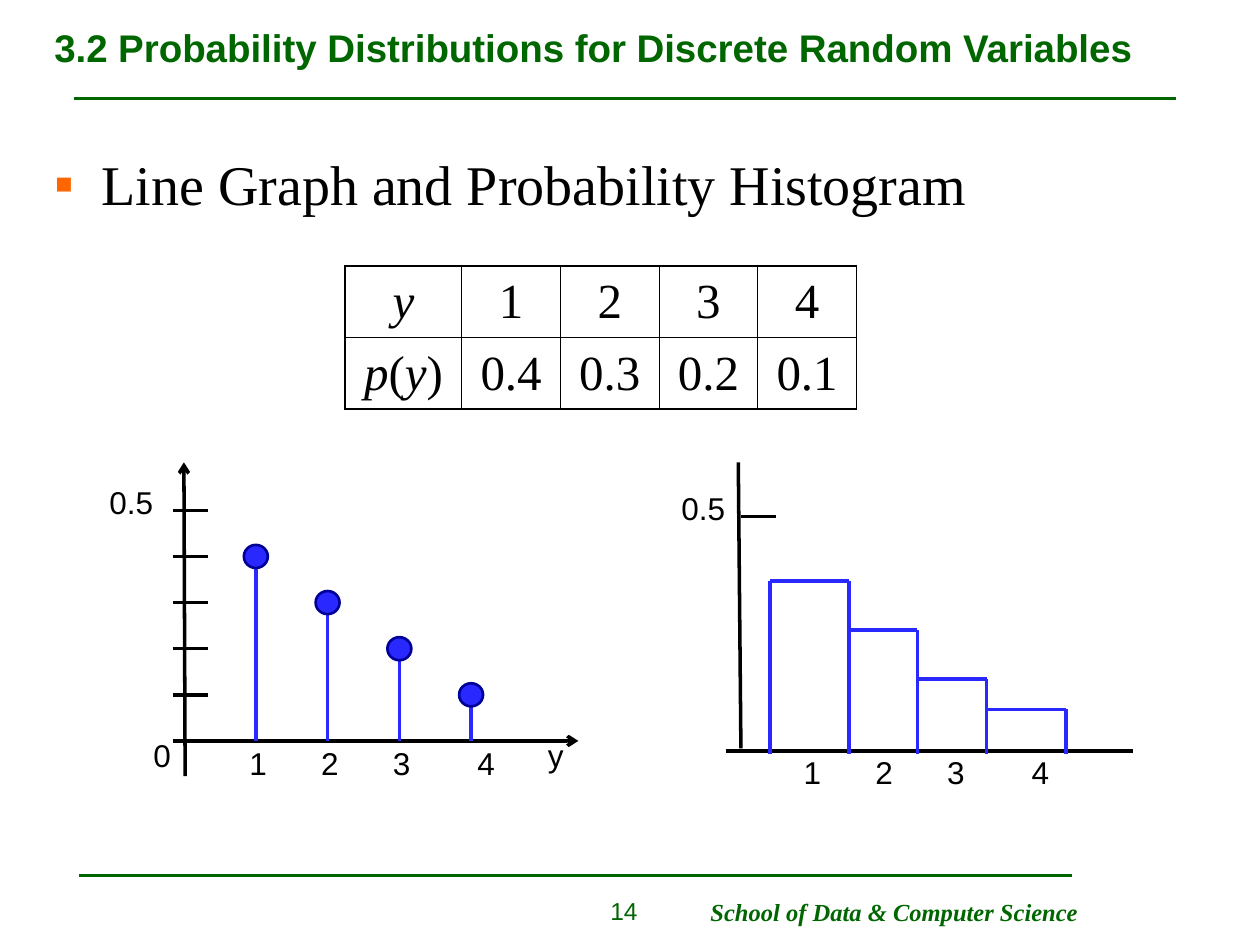
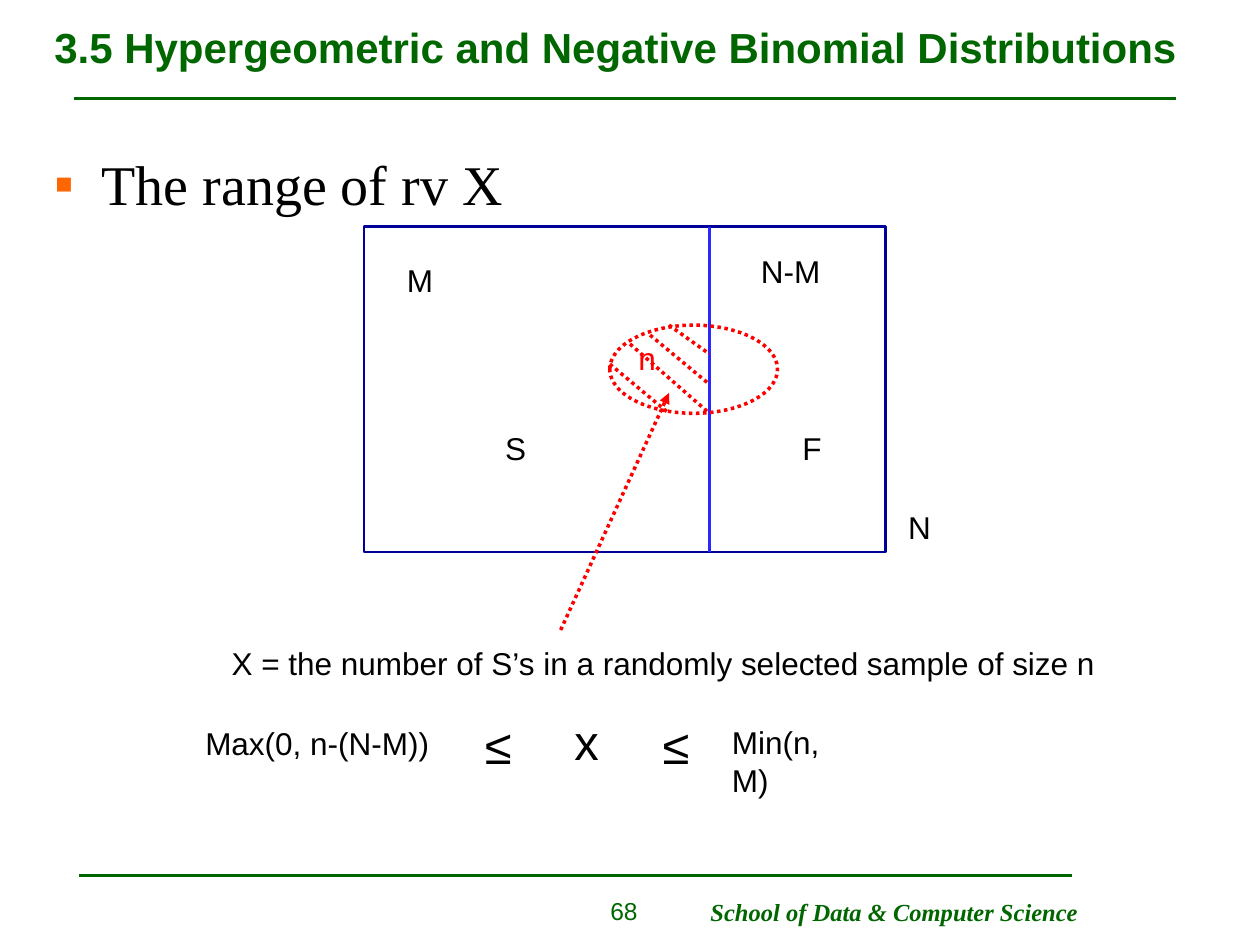
from dataclasses import dataclass
from typing import Optional, Union

import pptx
import pptx.dml.color
import pptx.enum.dml
import pptx.enum.shapes
import pptx.enum.text
import pptx.oxml.ns
import pptx.shapes.autoshape
import pptx.shapes.shapetree
import pptx.slide
import pptx.table
import pptx.text.text
import pptx.util
from lxml import etree

Pt = pptx.util.Pt
qn = pptx.oxml.ns.qn
Align = pptx.enum.text.PP_ALIGN
Preset = pptx.enum.shapes.MSO_SHAPE
Canvas = Union[pptx.shapes.shapetree.SlideShapes, pptx.shapes.shapetree.GroupShapes]

GREEN, ORANGE, BLACK, RED = "006600", "FF6600", "000000", "FF0000"
BLUE, NAVY = "2929FF", "000099"
SANS, SERIF = "Arial", "Times New Roman"
LABEL_HEIGHT = 28.8
DIGIT_WIDTH = 24.5
DIGIT_OFFSETS = (0, 41, 82, 130.3)


@dataclass
class Stroke:
    start: tuple[float, float]
    end: tuple[float, float]
    colour: str = BLACK
    width: float = 2
    dotted: bool = False
    arrow: Optional[str] = None


@dataclass
class Label:
    text: str
    left: float
    top: float
    width: float
    height: float = LABEL_HEIGHT
    size: float = 18
    colour: str = BLACK
    font: str = SANS
    bold: bool = False
    italic: bool = False
    wrap: bool = False
    align: Align = Align.LEFT


@dataclass
class Outline:
    preset: Preset
    left: float
    top: float
    width: float
    height: float
    colour: str
    line_width: float = 1.5
    fill: Optional[str] = None
    dotted: bool = False


def rgb(colour: str) -> pptx.dml.color.RGBColor:
    return pptx.dml.color.RGBColor.from_string(colour)


def format_runs(paragraph: pptx.text.text._Paragraph, name: str, size: float,
                colour: str, bold: bool = False, italic: bool = False) -> None:
    for run in paragraph.runs:
        run.font.name, run.font.size = name, Pt(size)
        run.font.bold, run.font.italic = bold, italic
        run.font.color.rgb = rgb(colour)


def draw_stroke(shapes: Canvas, stroke: Stroke) -> None:
    points = [Pt(value) for value in (*stroke.start, *stroke.end)]
    connector = shapes.add_connector(pptx.enum.shapes.MSO_CONNECTOR.STRAIGHT, *points)
    connector.line.color.rgb = rgb(stroke.colour)
    connector.line.width = Pt(stroke.width)
    if stroke.dotted:
        connector.line.dash_style = pptx.enum.dml.MSO_LINE.ROUND_DOT
    properties = connector._element.spPr
    if stroke.arrow:
        etree.SubElement(properties.find(qn("a:ln")), qn("a:tailEnd"), type=stroke.arrow)
    etree.SubElement(properties, qn("a:effectLst"))


def draw_label(shapes: Canvas, label: Label) -> None:
    box = shapes.add_textbox(Pt(label.left), Pt(label.top), Pt(label.width), Pt(label.height))
    frame = box.text_frame
    frame.word_wrap = label.wrap
    frame.text = label.text
    paragraph = frame.paragraphs[0]
    paragraph.alignment = label.align
    format_runs(paragraph, label.font, label.size, label.colour, label.bold, label.italic)


def draw_outline(shapes: Canvas, outline: Outline) -> None:
    shape = shapes.add_shape(outline.preset, Pt(outline.left), Pt(outline.top),
                             Pt(outline.width), Pt(outline.height))
    shape.shadow.inherit = False
    if outline.fill:
        shape.fill.solid()
        shape.fill.fore_color.rgb = rgb(outline.fill)
    else:
        shape.fill.background()
    shape.line.color.rgb = rgb(outline.colour)
    shape.line.width = Pt(outline.line_width)
    if outline.dotted:
        shape.line.dash_style = pptx.enum.dml.MSO_LINE.ROUND_DOT


def place(shape: pptx.shapes.autoshape.Shape, left: float, top: float,
          width: float, height: float) -> None:
    shape.left, shape.top = Pt(left), Pt(top)
    shape.width, shape.height = Pt(width), Pt(height)


def add_lecture_slide(presentation: pptx.presentation.Presentation, title: str,
                      title_size: float, topic: str, number: str) -> pptx.slide.Slide:
    """Add a slide with its title, topic bullet, green rules and footer."""
    slide = presentation.slides.add_slide(presentation.slide_layouts[1])
    draw_stroke(slide.shapes, Stroke((42.5, 56.2), (671.8, 56.2), GREEN, 1.5))
    draw_stroke(slide.shapes, Stroke((45.4, 500.4), (612.7, 500.4), GREEN, 1.5))
    draw_label(slide.shapes, Label("School of Data & Computer Science", 398.9, 509, 224.6, 24.5,
                                   14, GREEN, SERIF, bold=True, italic=True))
    draw_label(slide.shapes, Label(number, 298, 508.3, 73.4, 26, 14, GREEN,
                                   wrap=True, align=Align.RIGHT))

    heading, body = slide.shapes.title, slide.placeholders[1]
    place(heading, 23.8, 2.2, 672.5, 49)
    place(body, 23.8, 78.5, 672.5, 416.2)
    for shape, text in ((heading, title), (body, topic)):
        shape.text_frame.auto_size = pptx.enum.text.MSO_AUTO_SIZE.NONE
        shape.text_frame.text = text
        shape.text_frame.paragraphs[0].alignment = Align.LEFT
        shape.text_frame.paragraphs[0].space_before = Pt(0)
    heading.text_frame.vertical_anchor = pptx.enum.text.MSO_ANCHOR.MIDDLE
    format_runs(heading.text_frame.paragraphs[0], SANS, title_size, GREEN, bold=True)

    body.text_frame.margin_top = Pt(7)
    paragraph = body.text_frame.paragraphs[0]
    properties = paragraph._p.get_or_add_pPr()
    properties.set("marL", str(Pt(27)))
    properties.set("indent", str(-Pt(27)))
    bullet_colour = etree.SubElement(properties, qn("a:buClr"))
    etree.SubElement(bullet_colour, qn("a:srgbClr"), val=ORANGE)
    etree.SubElement(properties, qn("a:buFont"), typeface=SERIF)
    etree.SubElement(properties, qn("a:buChar"), char="▪")
    format_runs(paragraph, SERIF, 32, BLACK)
    return slide


def set_borders(cell: pptx.table._Cell, widths: dict[str, float]) -> None:
    """Border a cell; widths go by side in the order L, R, T, B."""
    properties = cell._tc.get_or_add_tcPr()
    for index, (side, width) in enumerate(widths.items()):
        line = etree.Element(qn(f"a:ln{side}"), w=str(Pt(width)))
        fill = etree.SubElement(line, qn("a:solidFill"))
        etree.SubElement(fill, qn("a:srgbClr"), val=BLACK)
        properties.insert(index, line)


def draw_distribution_table(slide: pptx.slide.Slide) -> None:
    rows = (("y", "1", "2", "3", "4"), ("p(y)", "0.4", "0.3", "0.2", "0.1"))
    column_widths = (66.6, 56.4, 56.4, 56.4, 56.4)
    last_row, last_column = len(rows) - 1, len(column_widths) - 1
    outer, inner = 1.08, 0.45
    table = slide.shapes.add_table(len(rows), len(column_widths), Pt(197.3), Pt(151.9),
                                   Pt(sum(column_widths)), Pt(82)).table
    table.first_row = table.horz_banding = False
    for column, width in zip(table.columns, column_widths):
        column.width = Pt(width)
    for row, texts in enumerate(rows):
        for column, text in enumerate(texts):
            cell = table.cell(row, column)
            cell.fill.background()
            cell.vertical_anchor = pptx.enum.text.MSO_ANCHOR.MIDDLE
            paragraph = cell.text_frame.paragraphs[0]
            paragraph.alignment = Align.CENTER
            for piece in (text if text[0].isalpha() else [text]):
                paragraph.add_run().text = piece
            format_runs(paragraph, SERIF, 28, BLACK)
            for run in paragraph.runs:
                run.font.italic = run.text.isalpha()
            set_borders(cell, {"L": outer if column == 0 else inner,
                               "R": outer if column == last_column else inner,
                               "T": outer if row == 0 else inner,
                               "B": outer if row == last_row else inner})


def draw_digits(shapes: Canvas, left: float, top: float) -> None:
    for digit, offset in enumerate(DIGIT_OFFSETS, start=1):
        draw_label(shapes, Label(str(digit), left + offset, top, DIGIT_WIDTH))


def draw_line_graph(shapes: Canvas) -> None:
    axis_y, tick_step = 423.4, 26.35
    first_stem, stem_step = 146.2, 41
    dot_width, dot_height = 13.7, 13.2
    draw_stroke(shapes, Stroke((98.6, axis_y), (330.5, axis_y), arrow="arrow"))
    draw_stroke(shapes, Stroke((105.8, 443.5), (105.1, 264.2), arrow="arrow"))
    for tick in range(1, 6):
        y = axis_y - tick * tick_step
        draw_stroke(shapes, Stroke((98.6, y), (118.8, y)))
    for index, tenths in enumerate((4, 3, 2, 1)):
        x, y = first_stem + index * stem_step, axis_y - tenths * tick_step
        draw_stroke(shapes, Stroke((x, axis_y), (x, y), BLUE))
        draw_outline(shapes, Outline(Preset.OVAL, x - dot_width / 2, y - dot_height / 2,
                                     dot_width, dot_height, NAVY, fill=BLUE))
    draw_label(shapes, Label("0.5", 55.4, 272.2, 39.6))
    draw_label(shapes, Label("0", 80.6, 416.9, DIGIT_WIDTH))
    draw_digits(shapes, 135.4, 421.9)
    draw_label(shapes, Label("y", 306, 416.9, 23))


def draw_histogram(shapes: Canvas) -> None:
    edges = (439.9, 485.3, 524.2, 563.8, 609.1)
    tops = (331.9, 360, 388.1, 405.4)
    foot = 430.6
    draw_stroke(shapes, Stroke((414.7, 429.1), (647.3, 429.1)))
    draw_stroke(shapes, Stroke((423.4, 427.7), (421.9, 264.2)))
    draw_stroke(shapes, Stroke((423.4, 295.2), (443.5, 295.2)))
    draw_stroke(shapes, Stroke((edges[0], foot), (edges[0], tops[0]), BLUE))
    for left, right, top in zip(edges, edges[1:], tops):
        draw_stroke(shapes, Stroke((left, top), (right, top), BLUE))
        draw_stroke(shapes, Stroke((right, foot), (right, top), BLUE))
    draw_label(shapes, Label("0.5", 382.3, 275.8, 39.6))
    draw_digits(shapes, 452.2, 427)


def draw_population(slide: pptx.slide.Slide) -> None:
    """Draw the population N split into S and F, with the sample n across both."""
    shapes = slide.shapes
    divider = 405.4
    draw_outline(shapes, Outline(Preset.RECTANGLE, 208.1, 129.6, 298.1, 185.8, NAVY))
    draw_stroke(shapes, Stroke((divider, 129.6), (divider, 315.4), BLUE))
    for label in (Label("M", 225.4, 145.4, 62, wrap=True),
                  Label("N-M", 427.7, 140.4, 70.6, wrap=True),
                  Label("S", 281.5, 241.9, 26),
                  Label("F", 451.4, 241.9, 25.2),
                  Label("N", 511.9, 286.6, 62, wrap=True)):
        draw_label(shapes, label)

    sample = shapes.add_group_shape().shapes
    draw_outline(sample, Outline(Preset.OVAL, 348.5, 185.8, 95.8, 50.4, RED, 2, dotted=True))
    draw_label(sample, Label("n", 357.8, 190.1, DIGIT_WIDTH, colour=RED))

    hatching = shapes.add_group_shape().shapes
    for start, end in (((382.3, 185.8), (divider, 202.3)),
                       ((371.5, 191.5), (divider, 219.6)),
                       ((360, 196.6), (divider, 236.2)),
                       ((348.5, 208.1), (382.3, 236.2))):
        draw_stroke(hatching, Stroke(start, end, RED, dotted=True))
    draw_stroke(shapes, Stroke((320.4, 360), (382.3, 224.6), RED, dotted=True, arrow="triangle"))


def draw_range(slide: pptx.slide.Slide) -> None:
    sign_height, sign_size = 41, 28
    for label in (Label("X = the number of S’s in a randomly selected sample of size n",
                        125.3, 364.3, 508.3),
                  Label("Max(0, n-(N-M))", 110.2, 410.4, 142.6),
                  Label("Min(n, M)", 411.1, 409.7, 90),
                  Label("x", 321.1, 403.2, 28.1, sign_height, sign_size),
                  Label("≤", 270, 405.4, 29.5, sign_height, sign_size),
                  Label("≤", 371.5, 405.4, 29.5, sign_height, sign_size)):
        draw_label(slide.shapes, label)


def main() -> None:
    presentation = pptx.Presentation()
    presentation.slide_width, presentation.slide_height = Pt(720), Pt(540)

    graphs = add_lecture_slide(
        presentation, "3.2 Probability Distributions for Discrete Random Variables", 22,
        "Line Graph and Probability Histogram", "14")
    draw_distribution_table(graphs)
    draw_line_graph(graphs.shapes.add_group_shape().shapes)
    draw_histogram(graphs.shapes.add_group_shape().shapes)

    sampling = add_lecture_slide(
        presentation, "3.5 Hypergeometric and Negative Binomial Distributions", 24,
        "The range of rv X", "68")
    draw_population(sampling)
    draw_range(sampling)
    presentation.save("out.pptx")


if __name__ == "__main__":
    main()
